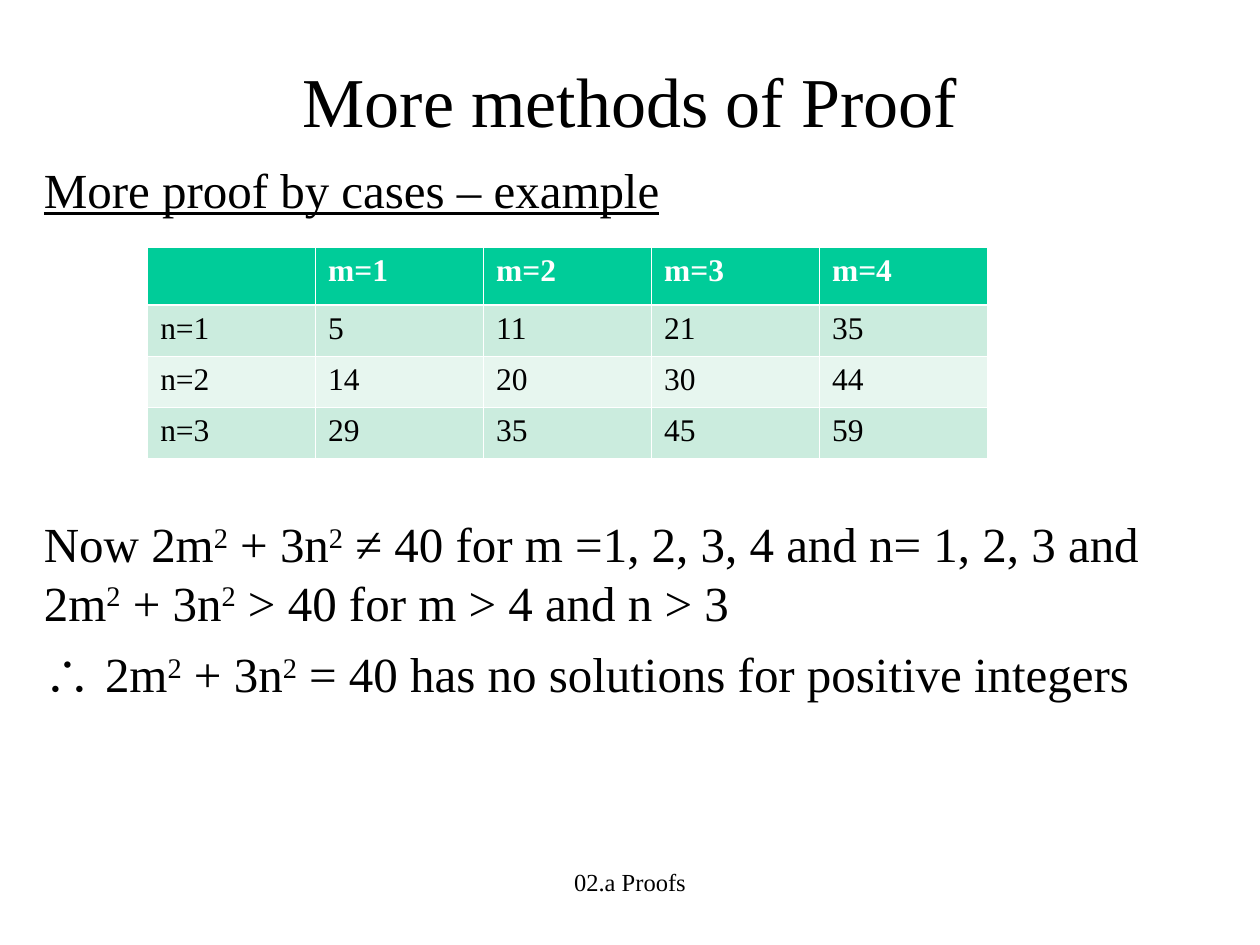
import pptx
import pptx.dml.color
import pptx.enum.text
import pptx.oxml
import pptx.oxml.ns
import pptx.util

Pt = pptx.util.Pt
CENTER = pptx.enum.text.PP_ALIGN.CENTER


def color(value):
    return pptx.dml.color.RGBColor.from_string(value)


def style(paragraph, size, value="000000"):
    paragraph.font.name = "Times New Roman"
    paragraph.font.size = Pt(size)
    paragraph.font.color.rgb = color(value)


presentation = pptx.Presentation()
presentation.slide_width = Pt(720)
presentation.slide_height = Pt(540)
slide = presentation.slides.add_slide(presentation.slide_layouts[5])

title = slide.shapes.title
title.left, title.top, title.width, title.height = Pt(54), Pt(12), Pt(612), Pt(90)
title.text_frame.text = "More methods of Proof"
title.text_frame.vertical_anchor = pptx.enum.text.MSO_ANCHOR.MIDDLE
title.text_frame.paragraphs[0].alignment = CENTER
style(title.text_frame.paragraphs[0], 40)

body = slide.shapes.add_textbox(Pt(18), Pt(84), Pt(672), Pt(384)).text_frame
body.word_wrap = True
body.margin_top = Pt(7)
heading = body.paragraphs[0]
heading.text = "More proof by cases – example"
style(heading, 28)
heading.font.underline = True

statements = [
    (169, "Now 2m^2^ + 3n^2^ ≠ 40 for m =1, 2, 3, 4 and n= 1, 2, 3 and "
          "2m^2^ + 3n^2^ > 40 for m > 4 and n > 3"),
    (7, "∴| 2m^2^ + 3n^2^ = 40 has no solutions for positive integers"),
]
for space_before, statement in statements:
    paragraph = body.add_paragraph()
    paragraph.space_before = Pt(space_before)
    style(paragraph, 28)
    symbol, divider, formula = statement.rpartition("|")
    if symbol:
        run = paragraph.add_run()
        run.text = symbol
        run.font.name = "Arial"
    for position, part in enumerate(formula.split("^")):
        run = paragraph.add_run()
        run.text = part
        if position % 2:
            run.font._element.set("baseline", "30000")

footer = slide.shapes.add_textbox(Pt(246), Pt(492), Pt(228), Pt(36)).text_frame
footer.word_wrap = True
footer.text = "02.a Proofs"
footer.paragraphs[0].alignment = CENTER
style(footer.paragraphs[0], 14)

rows = [
    ["", "m=1", "m=2", "m=3", "m=4"],
    ["n=1", "5", "11", "21", "35"],
    ["n=2", "14", "20", "30", "44"],
    ["n=3", "29", "35", "45", "59"],
]
row_fills = ["00CC99", "CBECDE", "E7F6EF", "CBECDE"]
row_heights = [33.1, 29.2, 29.2, 29.2]
table = slide.shapes.add_table(4, 5, Pt(84.4), Pt(141.4), Pt(480), Pt(sum(row_heights))).table
for column in table.columns:
    column.width = Pt(96)
for row_index, values in enumerate(rows):
    table.rows[row_index].height = Pt(row_heights[row_index])
    is_header = row_index == 0
    for column_index, value in enumerate(values):
        cell = table.cell(row_index, column_index)
        properties = cell._tc.get_or_add_tcPr()
        for side in "LRTB":
            is_divider = (row_index, side) in [(0, "B"), (1, "T")]
            width = Pt(1.47 if is_divider else 0.45)
            properties.append(pptx.oxml.parse_xml(
                f'<a:ln{side} {pptx.oxml.ns.nsdecls("a")} w="{width}"><a:solidFill>'
                f'<a:srgbClr val="FFFFFF"/></a:solidFill></a:ln{side}>'))
        cell.fill.solid()
        cell.fill.fore_color.rgb = color(row_fills[row_index])
        cell.text = value
        paragraph = cell.text_frame.paragraphs[0]
        style(paragraph, 18, "FFFFFF" if is_header else "000000")
        paragraph.font.bold = is_header

presentation.save("out.pptx")
